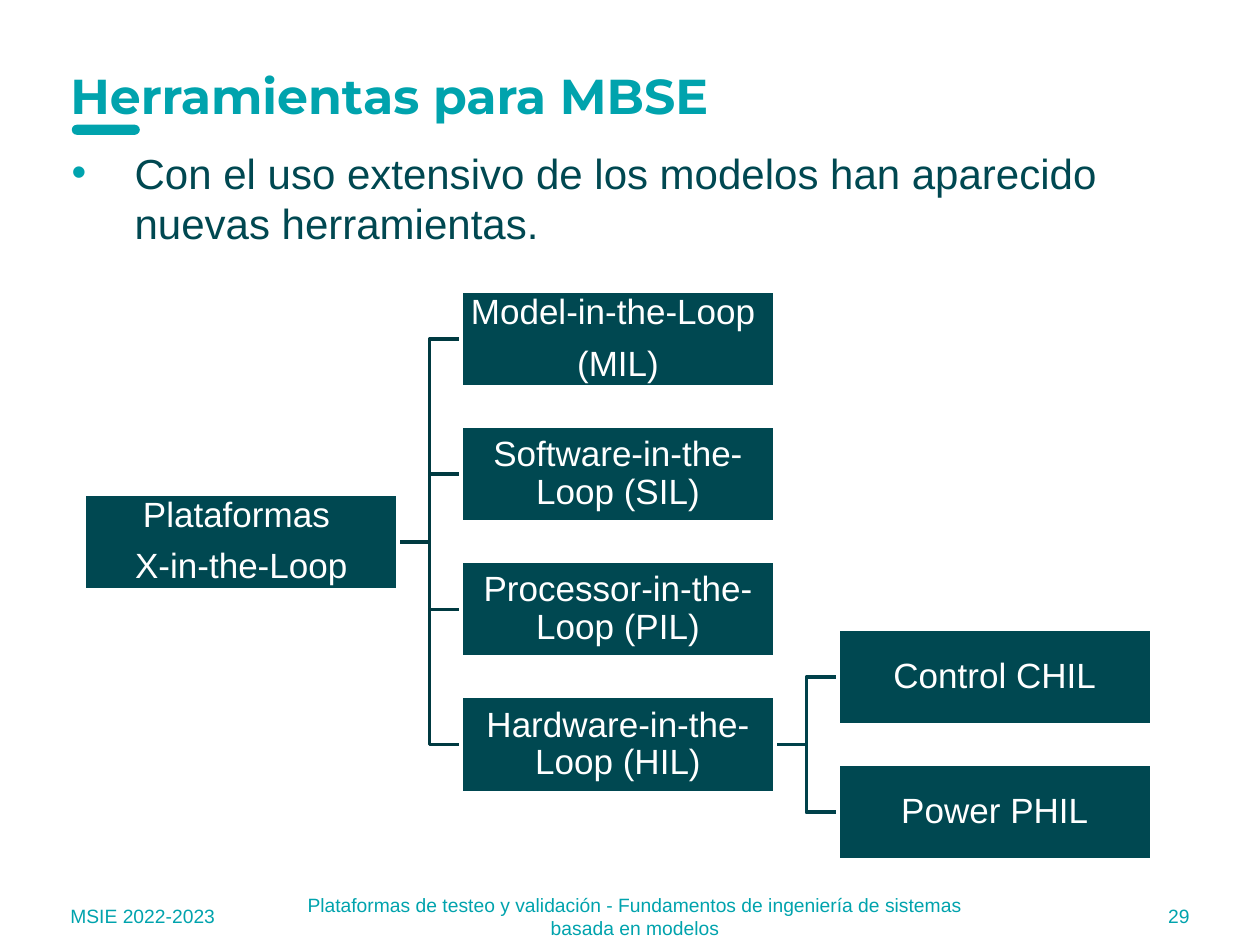
from dataclasses import dataclass

from lxml.etree import SubElement
from pptx import Presentation
from pptx.dml.color import RGBColor
from pptx.enum.shapes import MSO_SHAPE
from pptx.enum.text import MSO_ANCHOR, PP_ALIGN
from pptx.oxml.ns import qn
from pptx.util import Inches, Pt

HUES = {
    "teal": "00A3AD",
    "dot": "00A3AE",
    "deep": "004851",
    "trunk": "003A41",
    "twig": "00414A",
    "white": "FFFFFF",
}
WIDE, HIGH = Inches(10), Inches(7.5)
LEFT, TOP = 6.7, 30.8
COL, ROW = 29.9, 14.31
BOX_W, BOX_H = 24.9, 10.13


@dataclass(frozen=True)
class Node:
    col: float
    row: float
    text: str


@dataclass(frozen=True)
class Fork:
    root: Node
    kids: tuple[Node, ...]
    hue: str


@dataclass(frozen=True)
class Label:
    area: tuple[float, float, float, float]
    text: str
    side: PP_ALIGN


ROOT = Node(0, 1.5, "Plataformas \nX-in-the-Loop")
LOOPS = (
    Node(1, 0, "Model-in-the-Loop \n(MIL)"),
    Node(1, 1, "Software-in-the-Loop (SIL)"),
    Node(1, 2, "Processor-in-the-Loop (PIL)"),
    Node(1, 3, "Hardware-in-the-Loop (HIL)"),
)
ENDS = (Node(2, 2.5, "Control CHIL"), Node(2, 3.5, "Power PHIL"))
FORKS = (Fork(LOOPS[-1], ENDS, "twig"), Fork(ROOT, LOOPS, "trunk"))
FOOT = (
    Label((4.6, 94.27, 14, 5.33), "MSIE 2022-2023", PP_ALIGN.LEFT),
    Label(
        (21, 94.27, 58.8, 5.33),
        "Plataformas de testeo y validación - Fundamentos de ingeniería "
        "de sistemas basada en modelos",
        PP_ALIGN.CENTER,
    ),
    Label((83.2, 94.27, 12.2, 5.33), "29", PP_ALIGN.RIGHT),
)


def across(share: float) -> int:
    return round(WIDE * share / 100)


def down(share: float) -> int:
    return round(HIGH * share / 100)


def place(x: float, y: float, w: float, h: float) -> tuple[int, ...]:
    return across(x), down(y), across(w), down(h)


def tint(name: str) -> RGBColor:
    return RGBColor.from_string(HUES[name])


def add_dot(para) -> None:
    props = para._p.get_or_add_pPr()
    props.set("marL", str(Inches(0.5)))
    props.set("indent", str(-Inches(0.5)))
    hue = SubElement(props, qn("a:buClr"))
    SubElement(hue, qn("a:srgbClr"), val=HUES["dot"])
    SubElement(props, qn("a:buFont"), typeface="Arial")
    SubElement(props, qn("a:buChar"), char="•")


def write(shape, text: str, *, size: float, hue: str, font: str = "Arial",
          bold: bool = False, side: PP_ALIGN = PP_ALIGN.LEFT,
          anchor: MSO_ANCHOR = MSO_ANCHOR.MIDDLE, inset: float | None = None,
          lead: float | None = None, after: float = 0,
          dot: bool = False) -> None:
    frame = shape.text_frame
    frame.word_wrap = True
    frame.vertical_anchor = anchor
    if inset is not None:
        frame.margin_left = frame.margin_right = Inches(inset)
        frame.margin_top = frame.margin_bottom = Inches(inset)
    frame.text = text
    for para in frame.paragraphs:
        para.alignment = side
        para.line_spacing = lead
        para.space_after = Pt(after)
        if dot:
            add_dot(para)
        para.font.size = Pt(size)
        para.font.name = font
        para.font.bold = bold
        para.font.color.rgb = tint(hue)


def add_text(slide, area: tuple[float, float, float, float], text: str,
             **form) -> None:
    write(slide.shapes.add_textbox(*place(*area)), text, **form)


def draw_bar(slide) -> None:
    bar = slide.shapes.add_shape(
        MSO_SHAPE.ROUNDED_RECTANGLE, *place(5.7, 13.2, 5.4, 1.07))
    bar.adjustments[0] = 0.5
    bar.shadow.inherit = False
    bar.fill.solid()
    bar.fill.fore_color.rgb = tint("teal")
    bar.line.fill.background()


def draw_link(slide, root: Node, kid: Node, hue: str) -> None:
    start = across(LEFT + root.col * COL + BOX_W)
    end = across(LEFT + kid.col * COL)
    mid = (start + end) // 2
    high, low = (down(TOP + node.row * ROW + BOX_H / 2)
                 for node in (root, kid))
    path = slide.shapes.build_freeform(start, high)
    path.add_line_segments([(mid, high), (mid, low), (end, low)], close=False)
    link = path.convert_to_shape()
    link.shadow.inherit = False
    link.fill.background()
    link.line.color.rgb = tint(hue)
    link.line.width = Pt(2)


def draw_node(slide, node: Node) -> None:
    box = slide.shapes.add_shape(MSO_SHAPE.RECTANGLE, *place(
        LEFT + node.col * COL, TOP + node.row * ROW, BOX_W, BOX_H))
    box.shadow.inherit = False
    box.fill.solid()
    box.fill.fore_color.rgb = tint("deep")
    box.line.color.rgb = tint("white")
    box.line.width = Pt(2)
    write(box, node.text, size=20, hue="white", side=PP_ALIGN.CENTER,
          inset=0.01, lead=0.9, after=8)


def main() -> None:
    deck = Presentation()
    deck.slide_width, deck.slide_height = WIDE, HIGH
    slide = deck.slides.add_slide(deck.slide_layouts[6])
    draw_bar(slide)
    for label in FOOT:
        add_text(slide, label.area, label.text, size=11, hue="teal",
                 side=label.side)
    add_text(slide, (4.6, 6.93, 83.8, 6.27), "Herramientas para MBSE",
             size=28, hue="teal", font="Montserrat", bold=True)
    add_text(slide, (4.7, 14.93, 90.8, 70.13),
             "Con el uso extensivo de los modelos han aparecido nuevas "
             "herramientas.",
             size=24, hue="deep", anchor=MSO_ANCHOR.TOP, dot=True)
    for fork in FORKS:
        for kid in reversed(fork.kids):
            draw_link(slide, fork.root, kid, fork.hue)
    for node in (ROOT, *LOOPS, *ENDS):
        draw_node(slide, node)
    deck.save("out.pptx")


if __name__ == "__main__":
    main()
